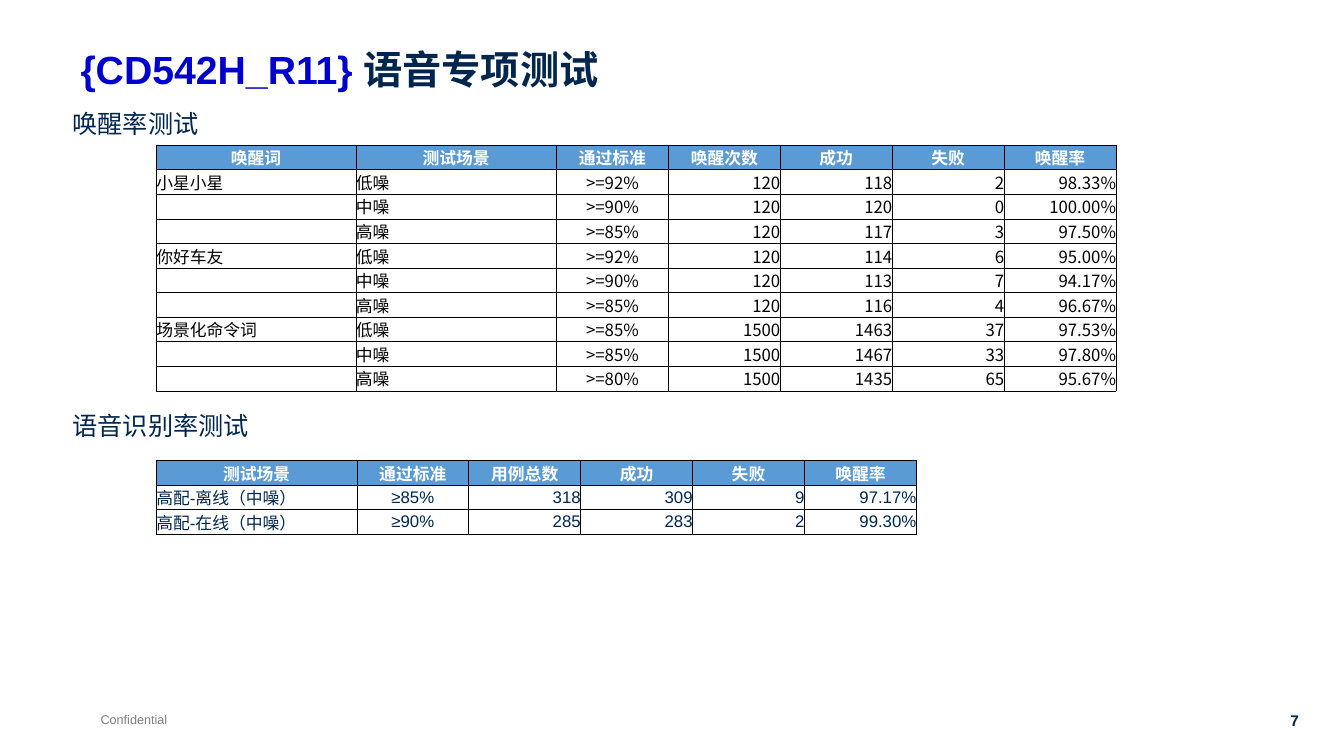
from lxml.etree import SubElement
from pptx import Presentation
from pptx.dml.color import RGBColor
from pptx.enum.text import MSO_ANCHOR as Anchor, PP_ALIGN as Align
from pptx.oxml.ns import qn
from pptx.util import Inches, Pt

COLORS = {"navy": "00264E", "blue": "0000CC", "header": "5B9BD5",
          "white": "FFFFFF", "black": "000000", "gray": "808080"}
LATIN, CJK = "Arial", "Noto Sans CJK SC"
COUNT_WIDTH = 1.11
ROW_HEIGHT = 0.244

WAKE_HEADER = ["唤醒词", "测试场景", "通过标准", "唤醒次数", "成功", "失败", "唤醒率"]
WAKE_ROWS = [
    ["小星小星", "低噪", ">=92%", "120", "118", "2", "98.33%"],
    ["", "中噪", ">=90%", "120", "120", "0", "100.00%"],
    ["", "高噪", ">=85%", "120", "117", "3", "97.50%"],
    ["你好车友", "低噪", ">=92%", "120", "114", "6", "95.00%"],
    ["", "中噪", ">=90%", "120", "113", "7", "94.17%"],
    ["", "高噪", ">=85%", "120", "116", "4", "96.67%"],
    ["场景化命令词", "低噪", ">=85%", "1500", "1463", "37", "97.53%"],
    ["", "中噪", ">=85%", "1500", "1467", "33", "97.80%"],
    ["", "高噪", ">=80%", "1500", "1435", "65", "95.67%"],
]
RECOGNITION_HEADER = ["测试场景", "通过标准", "用例总数", "成功", "失败", "唤醒率"]
RECOGNITION_ROWS = [
    ["高配-离线（中噪）", "≥85%", "318", "309", "9", "97.17%"],
    ["高配-在线（中噪）", "≥90%", "285", "283", "2", "99.30%"],
]


def add_run(paragraph, text, size, color, bold=False, face=LATIN):
    """Append one styled run to a paragraph."""
    run = paragraph.add_run()
    run.text = text
    font = run.font
    font.size, font.bold, font.name = Pt(size), bold, face
    font.color.rgb = RGBColor.from_string(COLORS[color])
    SubElement(font._element, qn("a:ea"), typeface=CJK)


def add_text(slide, box, runs, align=Align.LEFT, anchor=Anchor.TOP, wrap=True, spacing=None):
    """Place a single paragraph of runs in a text box."""
    frame = slide.shapes.add_textbox(*map(Inches, box)).text_frame
    frame.word_wrap, frame.vertical_anchor = wrap, anchor
    paragraph = frame.paragraphs[0]
    paragraph.alignment, paragraph.line_spacing = align, spacing
    for run in runs:
        add_run(paragraph, *run)


def add_borders(cell):
    """Draw a thin black line on every side of a cell."""
    properties = cell._tc.get_or_add_tcPr()
    for side in ("lnL", "lnR", "lnT", "lnB"):
        line = SubElement(properties, qn(f"a:{side}"), w=str(Pt(0.5)))
        fill = SubElement(line, qn("a:solidFill"))
        SubElement(fill, qn("a:srgbClr"), val=COLORS["black"])


def fill_cell(cell, text, align, color, bold, face):
    """Style one table cell and write its text."""
    cell.margin_left = cell.margin_right = cell.margin_top = cell.margin_bottom = 0
    cell.vertical_anchor = Anchor.MIDDLE
    add_borders(cell)
    paragraph = cell.text_frame.paragraphs[0]
    paragraph.alignment = align
    if text:
        add_run(paragraph, text, 12, color, bold, face)
    else:
        SubElement(paragraph._p, qn("a:endParaRPr"), sz="1200")


def add_results(slide, left, top, label_widths, header, rows, color, face):
    """Build a results table: label columns, a centred standard, then right-aligned figures."""
    labels = len(label_widths)
    widths = label_widths + [COUNT_WIDTH] * (len(header) - labels)
    lines = [header] + rows
    table = slide.shapes.add_table(
        len(lines), len(header), Inches(left), Inches(top),
        Inches(sum(widths)), Inches(ROW_HEIGHT * len(lines))).table
    table.first_row = table.horz_banding = False
    for column, width in zip(table.columns, widths):
        column.width = Inches(width)
    aligns = [Align.LEFT] * labels + [Align.CENTER] + [Align.RIGHT] * (len(header) - labels - 1)
    for r, line in enumerate(lines):
        table.rows[r].height = Inches(ROW_HEIGHT)
        for c, text in enumerate(line):
            cell = table.cell(r, c)
            if r == 0:
                fill_cell(cell, text, Align.CENTER, "white", True, CJK)
                cell.fill.solid()
                cell.fill.fore_color.rgb = RGBColor.from_string(COLORS["header"])
            else:
                fill_cell(cell, text, aligns[c], color, False, face)
                cell.fill.background()


def add_section_label(slide, top, text):
    """Place the heading above a results table."""
    add_text(slide, (0.62, top, 4.32, 0.4), [(text, 18, "navy")])


def add_footer(slide, top):
    """Place the confidentiality mark and the page number."""
    add_text(slide, (0.9, top, 0.87, 0.25), [("Confidential", 9, "gray")], wrap=False)
    add_text(slide, (12.59, top, 0.39, 0.29), [("7", 11, "navy", True)], Align.RIGHT)


def main():
    """Build the voice test slide and save it."""
    deck = Presentation()
    deck.slide_width, deck.slide_height = Inches(13.33), Inches(7.5)
    slide = deck.slides.add_slide(deck.slide_layouts[6])
    add_footer(slide, 7.01)
    add_text(slide, (0.7, 0.4, 11.85, 0.63),
             [("{CD542H_R11} ", 28, "blue", True), ("语音专项测试", 28, "navy", True)],
             anchor=Anchor.MIDDLE, spacing=0.9)
    add_section_label(slide, 1.03, "唤醒率测试")
    add_results(slide, 1.55, 1.44, [1.98, 1.99], WAKE_HEADER, WAKE_ROWS, "black", CJK)
    add_section_label(slide, 4.02, "语音识别率测试")
    add_results(slide, 1.55, 4.57, [1.99], RECOGNITION_HEADER, RECOGNITION_ROWS, "navy", LATIN)
    deck.save("out.pptx")


if __name__ == "__main__":
    main()
